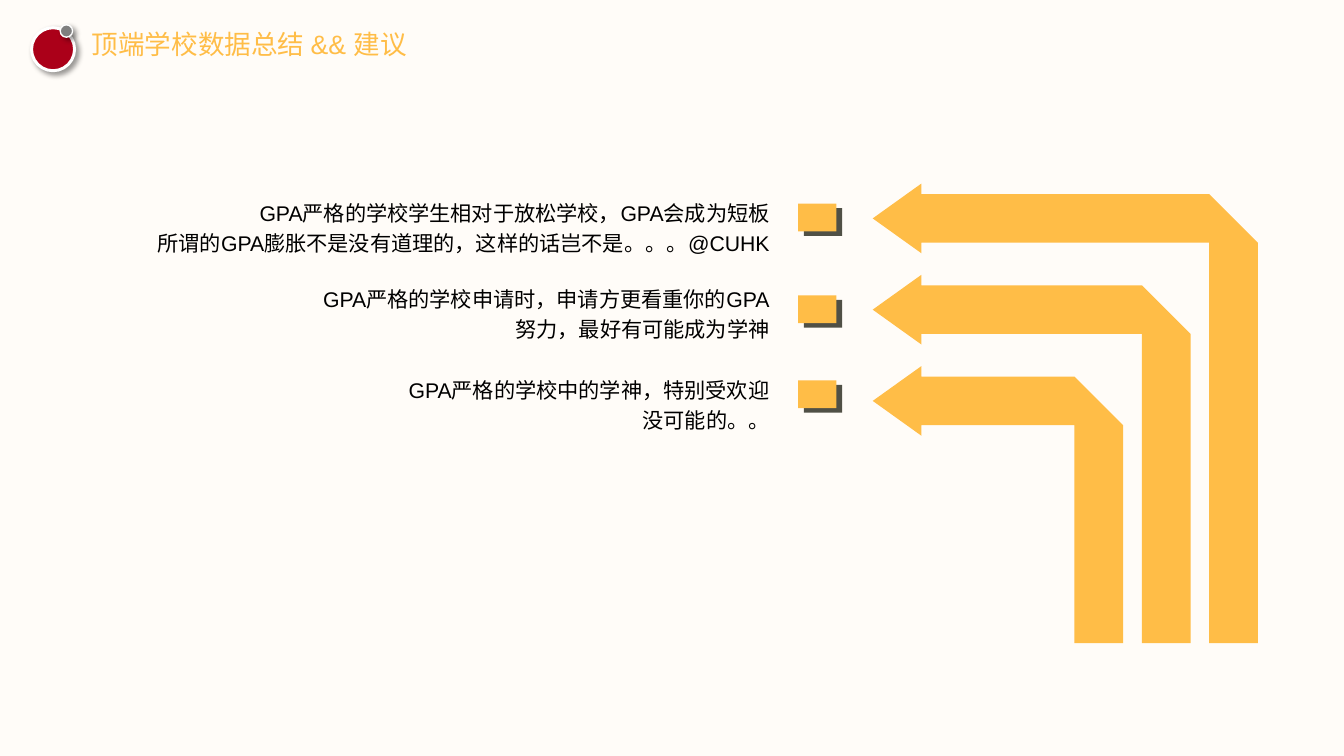
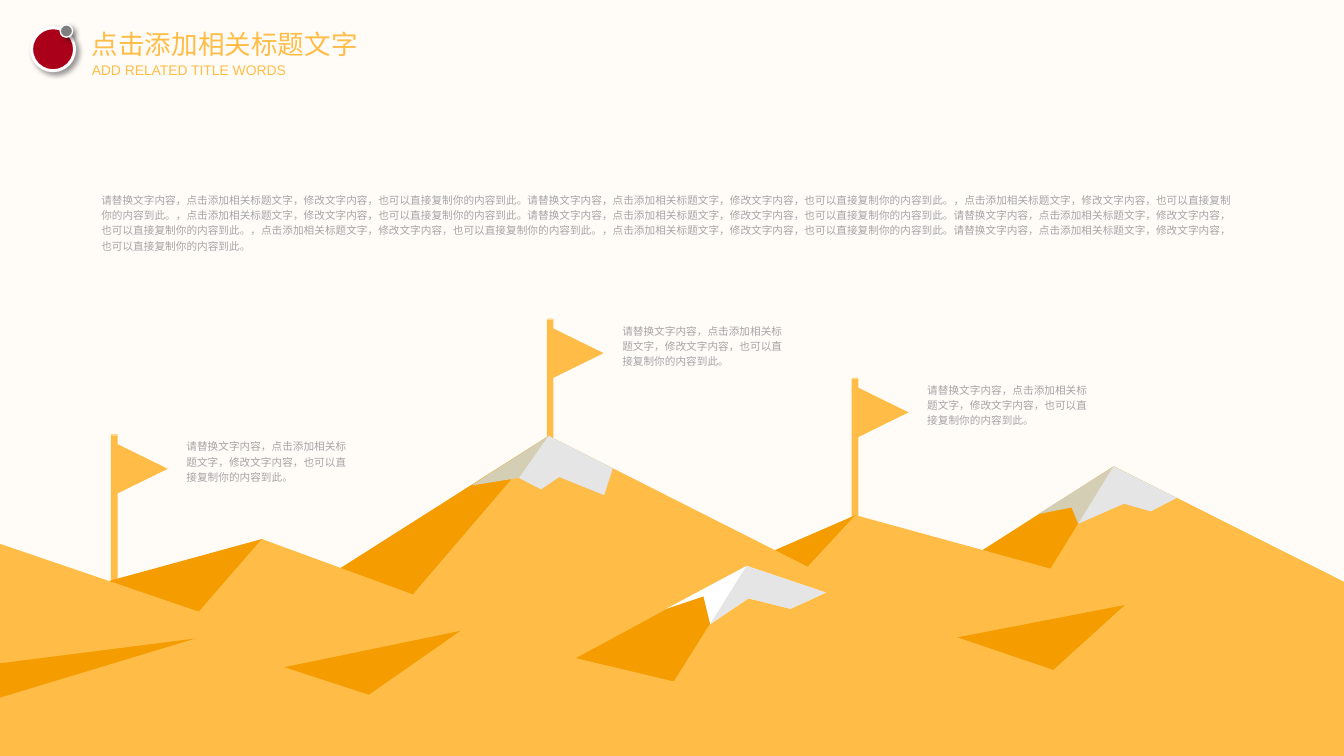
from dataclasses import dataclass

from lxml.etree import SubElement
from pptx import Presentation
from pptx.dml.color import RGBColor
from pptx.enum.shapes import MSO_SHAPE as Shape
from pptx.enum.text import PP_ALIGN as Align
from pptx.oxml.ns import qn
from pptx.util import Inches, Pt


@dataclass(frozen=True)
class Theme:
    font: str = "Arial"
    paper: str = "FFFCF8"
    amber: str = "FFBD47"
    ochre: str = "F49C00"
    red: str = "AB0019"
    grey: str = "7F7F7F"
    charcoal: str = "505046"
    sand: str = "D4CFB4"
    ice: str = "E5E5E5"
    white: str = "FFFFFF"
    black: str = "000000"
    note: str = "A5A5A5"
    title_size: float = 20
    subtitle_size: float = 10.5
    label_size: float = 16
    note_size: float = 8


THEME = Theme()
WIDTH, HEIGHT = 14.06, 7.91

ADVICE = [
    (1.99, 2.13, ["GPA严格的学校学生相对于放松学校，GPA会成为短板",
                  "所谓的GPA膨胀不是没有道理的，这样的话岂不是。。。@CUHK"]),
    (2.89, 3.09, ["GPA严格的学校申请时，申请方更看重你的GPA",
                  "努力，最好有可能成为学神"]),
    (3.84, 3.98, ["GPA严格的学校中的学神，特别受欢迎",
                  "没可能的。。"]),
]

HINT_TAIL = "，点击添加相关标题文字，修改文字内容，也可以直接复制你的内容到此。"
HINT = "请替换文字内容" + HINT_TAIL
INTRO = (HINT * 2 + HINT_TAIL * 2) * 2 + HINT

FLAGS = [(8.91, 3.95, 1.53), (1.16, 4.54, 1.64), (5.72, 3.33, 1.45)]

BACK_RANGE = [
    (THEME.ochre, [(11.65, 0.32), (9.16, 1.91), (8.95, 0.83), (6.23, 2.01),
                   (5.74, 0), (3.3, 1.55), (2.74, 1.08), (0.48, 1.7),
                   (0.04, 3.35), (14.06, 3.35), (14.06, 1.53)]),
    (THEME.amber, [(14.06, 1.53), (14.06, 3.35), (0, 3.35), (0, 1.13),
                   (2.08, 1.84), (2.74, 1.08), (4.32, 1.66), (5.74, 0),
                   (8.45, 1.37), (8.95, 0.83), (10.99, 1.39), (11.65, 0.32)]),
    (THEME.sand, [(12.31, 0.65), (12.04, 0.79), (11.75, 0.71), (11.28, 0.92),
                  (11.21, 0.75), (10.86, 0.82), (11.65, 0.32)]),
    (THEME.sand, [(5.74, 0), (6.41, 0.34), (6.32, 0.62), (5.85, 0.43),
                  (5.66, 0.56), (5.43, 0.44), (4.93, 0.52)]),
    (THEME.ice, [(5.43, 0.44), (5.74, 0), (6.41, 0.34), (6.32, 0.62),
                 (5.85, 0.43), (5.66, 0.56)]),
    (THEME.ice, [(11.65, 0.32), (11.28, 0.92), (11.76, 0.71), (12.04, 0.79),
                 (12.31, 0.65)]),
]

FRONT_RANGE = [
    (THEME.ochre, [(11.77, 0.41), (8.56, 1.03), (7.81, 0), (5.41, 1.3),
                   (4.82, 0.68), (2.3, 1.2), (2.05, 0.76), (0, 1.02),
                   (0, 1.99), (14.06, 1.99), (14.06, 1.35)]),
    (THEME.amber, [(14.06, 1.06), (11.77, 0.41), (11.02, 1.09), (7.81, 0),
                   (7.05, 1.21), (4.82, 0.68), (3.86, 1.35), (2.05, 0.76),
                   (0, 1.38), (0, 1.99), (14.06, 1.99)]),
    (THEME.white, [(8.64, 0.28), (7.81, 0), (6.97, 0.45), (7.36, 0.32),
                   (7.43, 0.61), (7.83, 0.34), (8.27, 0.45)]),
    (THEME.ice, [(7.81, 0), (7.43, 0.61), (7.83, 0.34), (8.27, 0.45),
                 (8.64, 0.28)]),
]


def paint(shape, color):
    shape.shadow.inherit = False
    shape.fill.solid()
    shape.fill.fore_color.rgb = RGBColor.from_string(color)
    shape.line.fill.background()
    return shape


def add_preset(page, kind, left, top, width, height, color):
    shape = page.shapes.add_shape(
        kind, Inches(left), Inches(top), Inches(width), Inches(height))
    return paint(shape, color)


def add_outline(page, left, top, contours, color):
    builder = None
    for contour in contours:
        start, *rest = [(Inches(left + x), Inches(top + y)) for x, y in contour]
        if builder is None:
            builder = page.shapes.build_freeform(*start)
        else:
            builder.move_to(*start)
        builder.add_line_segments(rest, close=True)
    return paint(builder.convert_to_shape(), color)


def add_text(page, left, top, width, height, lines, size, color,
             align=Align.LEFT, spacing=1.0, inset=(0, 0)):
    box = page.shapes.add_textbox(
        Inches(left), Inches(top), Inches(width), Inches(height))
    frame = box.text_frame
    frame.word_wrap = True
    frame.margin_left = frame.margin_right = Inches(inset[0])
    frame.margin_top = frame.margin_bottom = Inches(inset[1])
    for index, line in enumerate(lines):
        para = frame.add_paragraph() if index else frame.paragraphs[0]
        para.text = line
        para.alignment = align
        para.line_spacing = spacing
        para.font.name = THEME.font
        para.font.size = Pt(size)
        para.font.color.rgb = RGBColor.from_string(color)


def add_disc(page, left, top, size, color, border):
    disc = add_preset(page, Shape.OVAL, left, top, size, size, color)
    disc.line.color.rgb = RGBColor.from_string(THEME.white)
    disc.line.width = Pt(border)
    effects = disc.element.spPr.find(qn("a:effectLst"))
    shadow = SubElement(effects, qn("a:outerShdw"), blurRad=str(Pt(4)),
                        dist=str(Pt(3)), dir="2700000", algn="tl",
                        rotWithShape="0")
    tint = SubElement(shadow, qn("a:srgbClr"), val=THEME.black)
    SubElement(tint, qn("a:alpha"), val="40000")


def add_header(page, left, top, title, subtitle=None):
    add_text(page, left + 0.63, top, 4.18, 0.34, [title],
             THEME.title_size, THEME.amber)
    if subtitle:
        add_text(page, left + 0.63, top + 0.35, 4.18, 0.18, [subtitle],
                 THEME.subtitle_size, THEME.amber)
    add_disc(page, left, top, 0.45, THEME.red, 2.25)
    add_disc(page, left + 0.3, top - 0.03, 0.13, THEME.grey, 1)


def add_bent_arrow(page, left, top, width, height, split=False):
    band, flare = 0.51, 0.11
    upper, lower = flare, flare + band
    inner = width - band
    head = [(band, lower), (band, lower + flare), (0, lower - band / 2),
            (band, 0), (band, upper), (inner, upper), (width, lower)]
    leg = [(width, height), (inner, height), (inner, lower)]
    contours = [leg + [(width, lower)], head] if split else [head + leg]
    add_outline(page, left, top, contours, THEME.amber)


def add_marker(page, left, top):
    for shift, color in ((0.06, THEME.charcoal), (0, THEME.amber)):
        add_preset(page, Shape.RECTANGLE, left + shift, top + shift * 0.8,
                   0.4, 0.29, color)


def add_flag(page, left, top, height):
    pennant = add_preset(page, Shape.ISOSCELES_TRIANGLE, left + 0.05,
                         top + 0.09, 0.54, 0.55, THEME.amber)
    pennant.rotation = 90
    add_preset(page, Shape.CAN, left, top, 0.07, height, THEME.amber)
    add_text(page, left + 0.79, top + 0.04, 1.68, 0.48, [HINT],
             THEME.note_size, THEME.note, spacing=1.2)


def add_range(page, left, top, faces):
    for color, points in faces:
        add_outline(page, left, top, [points], color)


def add_page(deck):
    page = deck.slides.add_slide(deck.slide_layouts[6])
    page.background.fill.solid()
    page.background.fill.fore_color.rgb = RGBColor.from_string(THEME.paper)
    return page


def build_advice(deck):
    page = add_page(deck)
    base = 6.73
    for index in range(3):
        top = 1.92 + 0.955 * index
        add_bent_arrow(page, 9.13, top, 4.03 - 0.705 * index, base - top,
                       split=index == 2)
    for label_top, marker_top, lines in ADVICE:
        add_marker(page, 8.35, marker_top)
        add_text(page, 1.12, label_top, 7.03, 0.68, lines, THEME.label_size,
                 THEME.black, Align.RIGHT, 1.2, (0.1, 0.05))
    add_header(page, 0.33, 0.29, "顶端学校数据总结 && 建议")


def build_mountains(deck):
    page = add_page(deck)
    for left, top, height in FLAGS:
        add_flag(page, left, top, height)
    add_range(page, 0, 4.56, BACK_RANGE)
    add_range(page, 0, 5.92, FRONT_RANGE)
    add_text(page, 1.06, 2, 11.93, 0.65, [INTRO], THEME.note_size,
             THEME.note, spacing=1.2)
    add_header(page, 0.33, 0.29, "点击添加相关标题文字",
               "ADD RELATED TITLE WORDS")


def main():
    deck = Presentation()
    deck.slide_width, deck.slide_height = Inches(WIDTH), Inches(HEIGHT)
    build_advice(deck)
    build_mountains(deck)
    deck.save("out.pptx")


if __name__ == "__main__":
    main()
